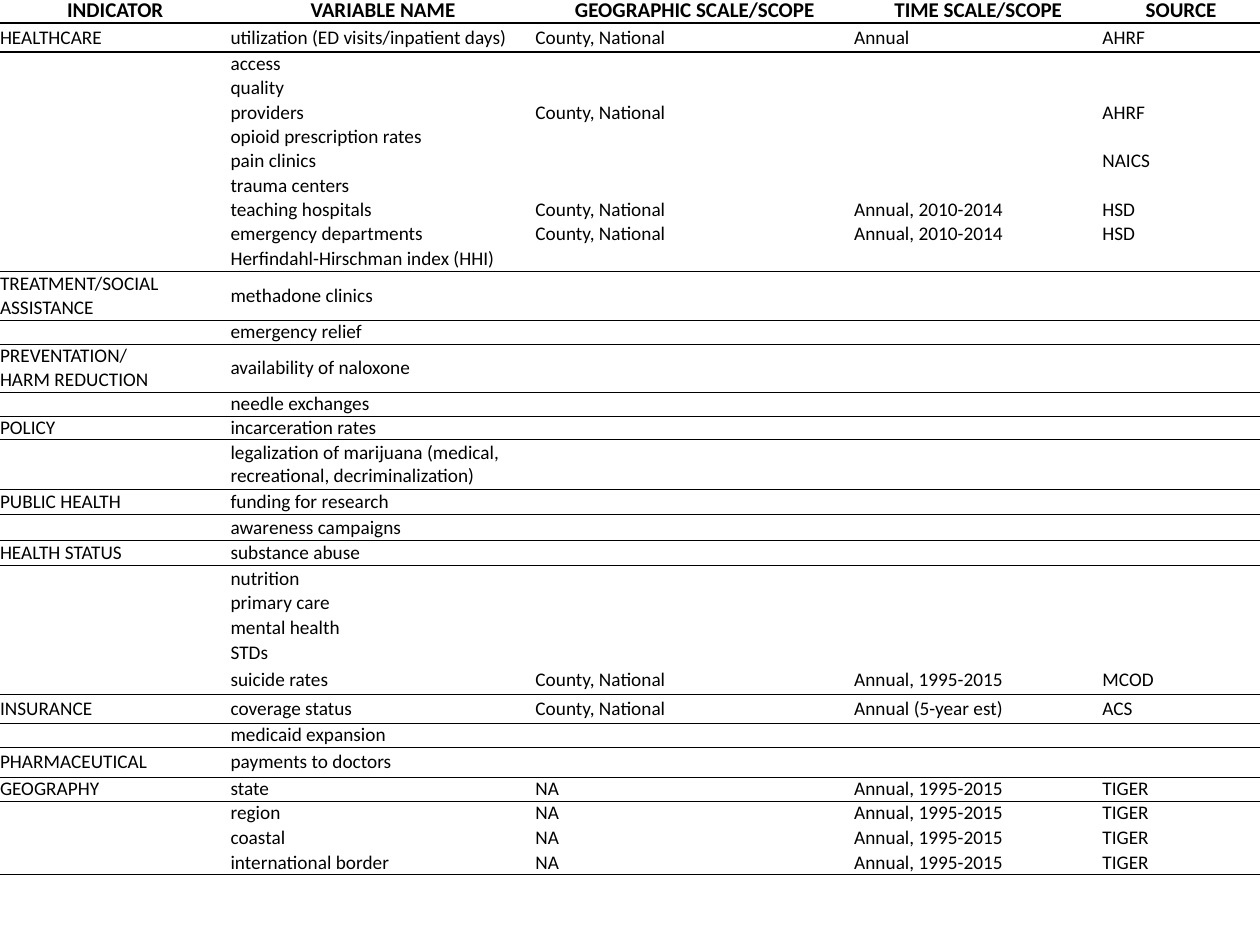
from dataclasses import dataclass

from lxml import etree
from pptx import Presentation
from pptx.dml.color import RGBColor
from pptx.enum.text import MSO_ANCHOR, PP_ALIGN
from pptx.oxml.ns import qn
from pptx.table import Table, _Cell
from pptx.util import Inches, Pt

MIDDLE = MSO_ANCHOR.MIDDLE
CENTER, LEFT = PP_ALIGN.CENTER, PP_ALIGN.LEFT
BLANK_LAYOUT = 6
NO_STYLE_NO_GRID = "{2D5ABB26-0587-4C30-8999-92F81FD0307C}"
FONT, BLACK = "Calibri", "000000"
BODY_SIZE, HEADER_SIZE = 11, 12
SECTION_RULE, HEADER_RULE = 0.5, 1

HEADERS = ("INDICATOR", "VARIABLE NAME", "GEOGRAPHIC SCALE/SCOPE",
           "TIME SCALE/SCOPE", "SOURCE")
COLUMN_WIDTHS = (1.83, 2.42, 2.53, 1.97, 1.25)
HEADER_HEIGHT = 0.2
COUNTY = "County, National"
HOSPITAL_YEARS = "Annual, 2010-2014"
ALL_YEARS = "Annual, 1995-2015"


@dataclass
class Variable:
    name: str
    height: float = 0.19
    geography: str = ""
    period: str = ""
    source: str = ""


@dataclass
class Section:
    indicator: str
    variables: list[Variable]


def place_variable(name: str, height: float = 0.19) -> Variable:
    return Variable(name, height, "NA", ALL_YEARS, "TIGER")


SECTIONS = [
    Section("HEALTHCARE", [
        Variable("utilization (ED visits/inpatient days)", 0.23, COUNTY, "Annual", "AHRF"),
        Variable("access"),
        Variable("quality"),
        Variable("providers", 0.2, COUNTY, source="AHRF"),
        Variable("opioid prescription rates"),
        Variable("pain clinics", source="NAICS"),
        Variable("trauma centers", 0.2),
        Variable("teaching hospitals", 0.19, COUNTY, HOSPITAL_YEARS, "HSD"),
        Variable("emergency departments", 0.19, COUNTY, HOSPITAL_YEARS, "HSD"),
        Variable("Herfindahl-Hirschman index (HHI)", 0.2),
    ]),
    Section("TREATMENT/SOCIAL ASSISTANCE", [Variable("methadone clinics", 0.39)]),
    Section("", [Variable("emergency relief")]),
    Section("PREVENTATION/\vHARM REDUCTION", [
        Variable("availability of naloxone", 0.38),
        Variable("needle exchanges"),
    ]),
    Section("POLICY", [
        Variable("incarceration rates"),
        Variable("legalization of marijuana (medical, recreational, decriminalization)", 0.39),
    ]),
    Section("PUBLIC HEALTH", [
        Variable("funding for research", 0.2),
        Variable("awareness campaigns", 0.21),
    ]),
    Section("HEALTH STATUS", [
        Variable("substance abuse", 0.2),
        Variable("nutrition", 0.2),
        Variable("primary care"),
        Variable("mental health", 0.2),
        Variable("STDs", 0.2),
        Variable("suicide rates", 0.23, COUNTY, ALL_YEARS, "MCOD"),
    ]),
    Section("INSURANCE", [
        Variable("coverage status", 0.23, COUNTY, "Annual (5-year est)", "ACS"),
        Variable("medicaid expansion"),
    ]),
    Section("PHARMACEUTICAL", [Variable("payments to doctors", 0.24)]),
    Section("GEOGRAPHY", [
        place_variable("state"),
        place_variable("region"),
        place_variable("coastal", 0.2),
        place_variable("international border"),
    ]),
]


def color(value: str) -> RGBColor:
    return RGBColor.from_string(value)


def add_border(cell: _Cell, tag: str, width: float) -> None:
    """Draw one side of a cell; borders come before the fill in the XML."""
    properties = cell._tc.get_or_add_tcPr()
    line = etree.Element(qn(tag), w=str(int(Pt(width))))
    fill = etree.SubElement(line, qn("a:solidFill"))
    etree.SubElement(fill, qn("a:srgbClr"), val=BLACK)
    borders = [child for child in properties if child.tag in (qn("a:lnT"), qn("a:lnB"))]
    properties.insert(len(borders), line)


def fill_cell(cell: _Cell, text: str, header: bool) -> None:
    cell.margin_left = cell.margin_right = cell.margin_top = cell.margin_bottom = 0
    cell.vertical_anchor = MIDDLE
    cell.fill.background()
    cell.text = text
    size = HEADER_SIZE if header else BODY_SIZE
    paragraph = cell.text_frame.paragraphs[0]
    paragraph.alignment = CENTER if header else LEFT
    paragraph.font.name = FONT
    paragraph.font.size = Pt(size)
    paragraph.font.bold = header
    paragraph.font.color.rgb = color(BLACK)
    if not text:
        # Keep empty cells from stretching their row
        etree.SubElement(paragraph._p, qn("a:endParaRPr"), sz=str(size * 100))


def fill_row(table: Table, index: int, texts: tuple[str, ...], height: float,
             top: float = 0, bottom: float = 0) -> None:
    table.rows[index].height = Inches(height)
    for column, text in enumerate(texts):
        cell = table.cell(index, column)
        fill_cell(cell, text, header=index == 0)
        for tag, width in (("a:lnT", top), ("a:lnB", bottom)):
            if width:
                add_border(cell, tag, width)


def main() -> None:
    presentation = Presentation()
    presentation.slide_width, presentation.slide_height = Inches(10), Inches(7.5)
    slide = presentation.slides.add_slide(presentation.slide_layouts[BLANK_LAYOUT])

    # Plain table without banding
    row_count = 1 + sum(len(section.variables) for section in SECTIONS)
    frame = slide.shapes.add_table(row_count, len(HEADERS), Inches(0), Inches(-0.02),
                                   Inches(10), Inches(6.96))
    table = frame.table
    table.first_row = table.horz_banding = False
    for style in frame.element.iter(qn("a:tableStyleId")):
        style.text = NO_STYLE_NO_GRID
    for column, width in zip(table.columns, COLUMN_WIDTHS):
        column.width = Inches(width)

    # Header, then sections divided by rules
    fill_row(table, 0, HEADERS, HEADER_HEIGHT, bottom=HEADER_RULE)
    index = 1
    for section in SECTIONS:
        for position, variable in enumerate(section.variables):
            first = position == 0
            last = position == len(section.variables) - 1
            top_rule = HEADER_RULE if index == 1 else SECTION_RULE
            texts = (section.indicator if first else "", variable.name,
                     variable.geography, variable.period, variable.source)
            fill_row(table, index, texts, variable.height,
                     top=top_rule if first else 0, bottom=SECTION_RULE if last else 0)
            index += 1

    presentation.save("out.pptx")


if __name__ == "__main__":
    main()
